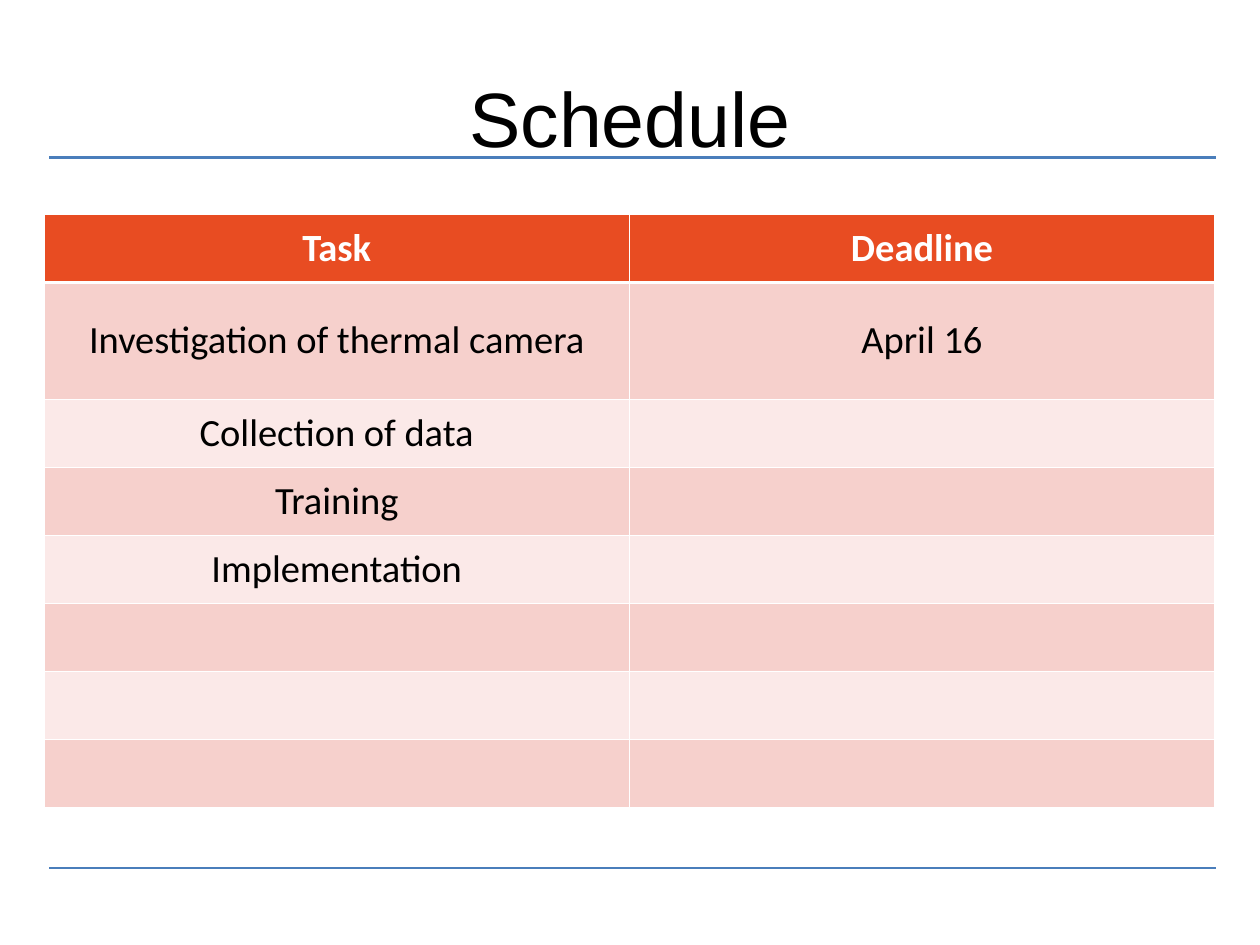
from lxml.etree import SubElement
from pptx import Presentation
from pptx.dml.color import RGBColor
from pptx.enum.shapes import MSO_CONNECTOR
from pptx.enum.text import MSO_ANCHOR, PP_ALIGN
from pptx.oxml.ns import qn
from pptx.util import Inches, Pt

COLORS = {
    "rule": "4A7EBB",
    "head": "E84C22",
    "dark": "F6D0CC",
    "light": "FBE9E8",
    "white": "FFFFFF",
    "black": "000000",
}
HEADS = ["Task", "Deadline"]
TASKS = [
    ("Investigation of thermal camera", "April 16"),
    ("Collection of data", ""),
    ("Training", ""),
    ("Implementation", ""),
    ("", ""),
    ("", ""),
    ("", ""),
]


def color(name):
    return RGBColor.from_string(COLORS[name])


def write(frame, text, size=22, font="Calibri", ink="black", bold=False):
    para = frame.paragraphs[0]
    para.alignment = PP_ALIGN.CENTER
    if not text:
        return
    run = para.add_run()
    run.text = text
    run.font.size = Pt(size)
    run.font.name = font
    run.font.bold = bold
    run.font.color.rgb = color(ink)


def add_rule(slide, top, width):
    rule = slide.shapes.add_connector(
        MSO_CONNECTOR.STRAIGHT, Inches(0.39), Inches(top), Inches(9.65), Inches(top))
    rule.line.color.rgb = color("rule")
    rule.line.width = Pt(width)
    SubElement(rule._element.spPr, qn("a:effectLst"))


def add_title(slide, text):
    title = slide.shapes.title
    title.left, title.top = Inches(0.5), Inches(0.3)
    title.width, title.height = Inches(9), Inches(1.25)
    frame = title.text_frame
    frame.margin_left = frame.margin_right = 0
    frame.margin_top = frame.margin_bottom = 0
    frame.vertical_anchor = MSO_ANCHOR.MIDDLE
    write(frame, text, size=44, font="Arial")


def set_border(cell, **widths):
    """Draw white borders; the sides L, R, T, B come in schema order."""
    props = cell._tc.get_or_add_tcPr()
    for side, width in widths.items():
        line = SubElement(props, qn(f"a:ln{side}"), w=str(Pt(width)))
        fill = SubElement(line, qn("a:solidFill"))
        SubElement(fill, qn("a:srgbClr"), val=COLORS["white"])


def add_table(slide, rows):
    heights = [0.93 if i == 1 else 0.54 for i in range(len(rows))]
    table = slide.shapes.add_table(
        len(rows), len(HEADS), Inches(0.35), Inches(1.7),
        Inches(9.29), Inches(sum(heights))).table
    for i, row in enumerate(rows):
        table.rows[i].height = Inches(heights[i])
        head = i == 0
        shade = "head" if head else "dark" if i % 2 else "light"
        for j, text in enumerate(row):
            cell = table.cell(i, j)
            set_border(cell, L=0.75, R=0.75,
                       T=2.21 if i == 1 else 0.75, B=2.21 if head else 0.75)
            cell.fill.solid()
            cell.fill.fore_color.rgb = color(shade)
            cell.vertical_anchor = MSO_ANCHOR.MIDDLE
            write(cell.text_frame, text, ink="white" if head else "black", bold=head)


def main():
    deck = Presentation()
    deck.slide_width, deck.slide_height = Inches(10), Inches(7.5)
    slide = deck.slides.add_slide(deck.slide_layouts[5])
    add_rule(slide, 6.89, 1.5)
    add_rule(slide, 1.25, 2.25)
    add_title(slide, "Schedule")
    add_table(slide, [HEADS, *TASKS])
    deck.save("out.pptx")


if __name__ == "__main__":
    main()
